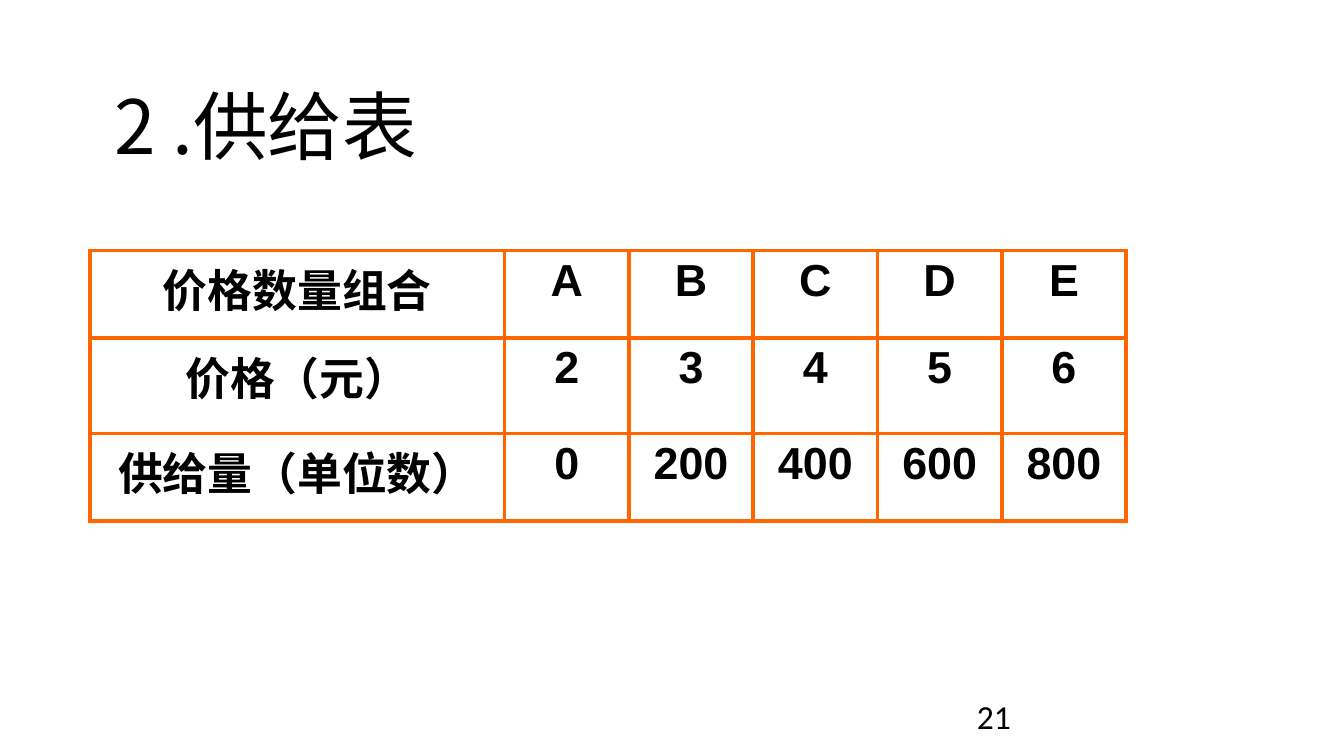
import dataclasses

import lxml.etree
import pptx
import pptx.dml.color
import pptx.enum.text
import pptx.oxml.ns
import pptx.util

EMU_PER_PX = 4572
ALIGN = pptx.enum.text.PP_ALIGN
ANCHOR = pptx.enum.text.MSO_ANCHOR
qn = pptx.oxml.ns.qn


@dataclasses.dataclass(frozen=True)
class Theme:
    ink: str = "000000"
    border: str = "FF6600"
    border_width: float = 2.25
    title_font: str = "Noto Sans CJK SC"
    table_font: str = "Arial"
    number_font: str = "Calibri"
    title_size: int = 40
    table_size: int = 24
    number_size: int = 18


THEME = Theme()

SUPPLY_ROWS = [
    ["价格数量组合", "A", "B", "C", "D", "E"],
    ["价格（元）", "2", "3", "4", "5", "6"],
    ["供给量（单位数）", "0", "200", "400", "600", "800"],
]
COLUMN_WIDTHS = [617] + [185] * 5
ROW_HEIGHTS = [130, 142, 130]


def px(n):
    return pptx.util.Emu(n * EMU_PER_PX)


def write_text(tf, text, *, font, size, bold=False, align=ALIGN.LEFT, east_asian=None):
    p = tf.paragraphs[0]
    p.alignment = align
    r = p.add_run()
    r.text = text
    r.font.name = font
    r.font.size = pptx.util.Pt(size)
    r.font.bold = bold
    r.font.color.rgb = pptx.dml.color.RGBColor.from_string(THEME.ink)
    if east_asian:
        latin = r.font._element.find(qn("a:latin"))
        ea = lxml.etree.Element(qn("a:ea"), typeface=east_asian)
        latin.addnext(ea)
    return p


def space_before_percent(p, percent):
    pPr = p._p.get_or_add_pPr()
    spacing = lxml.etree.SubElement(pPr, qn("a:spcBef"))
    lxml.etree.SubElement(spacing, qn("a:spcPct"), val=str(percent * 1000))


def set_borders(cell):
    tcPr = cell._tc.get_or_add_tcPr()
    width = str(pptx.util.Pt(THEME.border_width))
    for i, side in enumerate(("a:lnL", "a:lnR", "a:lnT", "a:lnB")):
        ln = lxml.etree.Element(qn(side), w=width)
        fill = lxml.etree.SubElement(ln, qn("a:solidFill"))
        lxml.etree.SubElement(fill, qn("a:srgbClr"), val=THEME.border)
        tcPr.insert(i, ln)


def add_title(s, text):
    sp = s.shapes.title
    sp.left, sp.top, sp.width, sp.height = px(150), px(100), px(1700), px(188)
    tf = sp.text_frame
    tf.auto_size = pptx.enum.text.MSO_AUTO_SIZE.TEXT_TO_FIT_SHAPE
    tf.vertical_anchor = ANCHOR.MIDDLE
    p = write_text(tf, text, font=THEME.title_font, size=THEME.title_size,
                   east_asian=THEME.title_font)
    p.line_spacing = 0.9


def format_cell(cell, text):
    cell.fill.background()
    cell.margin_left = cell.margin_right = px(20)
    cell.margin_top = cell.margin_bottom = px(8)
    cell.vertical_anchor = ANCHOR.TOP
    p = write_text(cell.text_frame, text, font=THEME.table_font,
                   size=THEME.table_size, bold=True, align=ALIGN.CENTER)
    space_before_percent(p, 20)
    set_borders(cell)


def add_supply_table(s, left, top):
    table = s.shapes.add_table(
        len(ROW_HEIGHTS), len(COLUMN_WIDTHS), px(left), px(top),
        px(sum(COLUMN_WIDTHS)), px(sum(ROW_HEIGHTS))).table
    table.first_row = False
    table.horz_banding = False
    for column, width in zip(table.columns, COLUMN_WIDTHS):
        column.width = px(width)
    for row, height, values in zip(table.rows, ROW_HEIGHTS, SUPPLY_ROWS):
        row.height = px(height)
        for cell, text in zip(row.cells, values):
            format_cell(cell, text)


def add_page_number(s, text):
    sp = s.shapes.add_textbox(px(1434), px(1025), px(416), px(76))
    tf = sp.text_frame
    tf.word_wrap = True
    write_text(tf, text, font=THEME.number_font, size=THEME.number_size)


def main():
    prs = pptx.Presentation()
    prs.slide_width, prs.slide_height = px(2000), px(1125)
    s = prs.slides.add_slide(prs.slide_layouts[5])
    add_title(s, "2 .供给表")
    add_supply_table(s, 134, 373)
    add_page_number(s, "21")
    prs.save("out.pptx")


if __name__ == "__main__":
    main()
